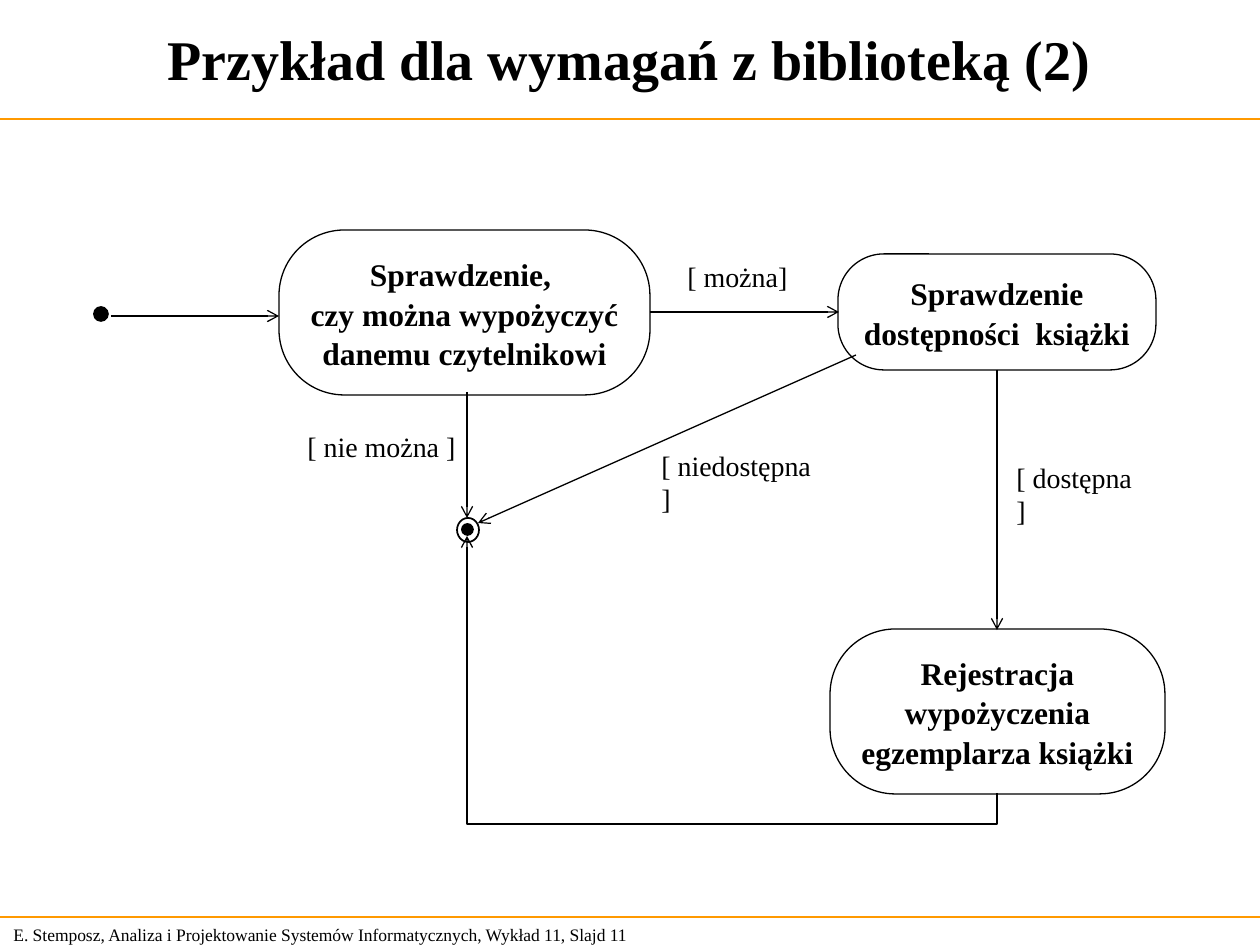
from typing import NamedTuple

from lxml.etree import SubElement
from pptx import Presentation
from pptx.dml.color import RGBColor
from pptx.enum.shapes import MSO_CONNECTOR, MSO_SHAPE
from pptx.enum.text import MSO_ANCHOR, PP_ALIGN
from pptx.oxml.ns import qn
from pptx.util import Pt

EMU_PER_PX = 914400 / 126
SLIDE_WIDTH, SLIDE_HEIGHT = 1260, 945
FONT = "Times New Roman"
BLACK = RGBColor(0x00, 0x00, 0x00)
ORANGE = RGBColor(0xFF, 0x99, 0x00)


class Area(NamedTuple):
    left: int
    top: int
    width: int
    height: int


class State(NamedTuple):
    area: Area
    lines: list[str]


class Guard(NamedTuple):
    area: Area
    text: str


class Flow(NamedTuple):
    start: tuple[int, int]
    end: tuple[int, int]


STATES = [
    State(Area(279, 230, 371, 165),
          ["Sprawdzenie, ", "czy można wypożyczyć", "danemu czytelnikowi"]),
    State(Area(838, 254, 318, 116), ["Sprawdzenie", "dostępności  książki"]),
    State(Area(830, 629, 335, 165),
          ["Rejestracja", "wypożyczenia", "egzemplarza książki"]),
]
GUARDS = [
    Guard(Area(675, 253, 125, 47), "[ można]"),
    Guard(Area(295, 423, 173, 47), "[ nie można ]"),
    Guard(Area(1004, 454, 156, 47), "[ dostępna ]"),
    Guard(Area(649, 442, 190, 47), "[ niedostępna ]"),
]
FLOWS = [
    Flow((111, 316), (279, 316)),
    Flow((650, 312), (839, 312)),
    Flow((467, 392), (467, 518)),
    Flow((997, 370), (997, 630)),
    Flow((856, 355), (478, 523)),
]
RETURN_FLOW = Flow((997, 793), (467, 536))
RETURN_DROP = 31  # how far the return flow dips below its start


def px(length: float) -> int:
    return round(length * EMU_PER_PX)


def write_text(box, lines: list[str], *, size: int, bold: bool = False,
               align=PP_ALIGN.LEFT, anchor=MSO_ANCHOR.TOP,
               wrap: bool = False, spacing: float = 1.0) -> None:
    frame = box.text_frame
    frame.word_wrap = wrap
    frame.vertical_anchor = anchor
    for index, line in enumerate(lines):
        para = frame.paragraphs[0] if index == 0 else frame.add_paragraph()
        para.alignment = align
        para.line_spacing = spacing
        span = para.add_run()
        span.text = line
        span.font.name = FONT
        span.font.size = Pt(size)
        span.font.bold = bold
        span.font.color.rgb = BLACK


def add_text(shapes, area: Area, text: str, **text_format) -> None:
    box = shapes.add_textbox(*map(px, area))
    write_text(box, [text], **text_format)


def add_outline(shapes, kind, area: Area, *, filled: bool = False,
                line_width: float = 1):
    shape = shapes.add_shape(kind, *map(px, area))
    shape.shadow.inherit = False
    if filled:
        shape.fill.solid()
        shape.fill.fore_color.rgb = BLACK
    else:
        shape.fill.background()
    shape.line.color.rgb = BLACK
    shape.line.width = Pt(line_width)
    return shape


def add_state(shapes, state: State) -> None:
    shape = add_outline(shapes, MSO_SHAPE.ROUNDED_RECTANGLE, state.area,
                        line_width=0.75)
    shape.adjustments[0] = 0.396
    write_text(shape, state.lines, size=18, bold=True, spacing=1.05,
               align=PP_ALIGN.CENTER, anchor=MSO_ANCHOR.MIDDLE)


def add_line(shapes, flow: Flow, *, color: RGBColor = BLACK,
             arrow: bool = True, kind=MSO_CONNECTOR.STRAIGHT):
    line = shapes.add_connector(kind, *map(px, flow.start + flow.end))
    line.line.color.rgb = color
    line.line.width = Pt(0.75)
    properties = line._element.spPr
    if arrow:
        SubElement(properties.find(qn("a:ln")), qn("a:tailEnd"), type="arrow")
    SubElement(properties, qn("a:effectLst"))
    return line


def add_return_flow(shapes, flow: Flow, drop: int) -> None:
    """Draw an elbow that leaves downwards and comes back up at its end."""
    (start_x, start_y), (end_x, end_y) = flow
    middle_x, middle_y = (start_x + end_x) / 2, (start_y + end_y) / 2
    half_rise, half_run = (start_y - end_y) / 2, (start_x - end_x) / 2
    # Ends before the quarter turn that makes the elbow vertical.
    unturned = Flow((middle_x - half_rise, middle_y + half_run),
                    (middle_x + half_rise, middle_y - half_run))
    elbow = add_line(shapes, unturned, kind=MSO_CONNECTOR.ELBOW)
    properties = elbow._element.spPr
    properties.find(qn("a:xfrm")).set("rot", str(270 * 60000))
    guides = properties.find(qn("a:prstGeom")).find(qn("a:avLst"))
    bend = round(-drop / (start_y - end_y) * 100000)
    SubElement(guides, qn("a:gd"), name="adj1", fmla=f"val {bend}")


def main() -> None:
    deck = Presentation()
    deck.slide_width, deck.slide_height = px(SLIDE_WIDTH), px(SLIDE_HEIGHT)
    shapes = deck.slides.add_slide(deck.slide_layouts[6]).shapes

    for rule_y in (119, 917):
        add_line(shapes, Flow((0, rule_y), (SLIDE_WIDTH, rule_y)),
                 color=ORANGE, arrow=False)
    add_text(shapes, Area(0, 0, 1259, 116),
             "Przykład dla wymagań z biblioteką (2)", size=32, bold=True,
             align=PP_ALIGN.CENTER, anchor=MSO_ANCHOR.MIDDLE, wrap=True)
    add_text(shapes, Area(1, 917, 660, 34),
             "E. Stemposz, Analiza i Projektowanie Systemów Informatycznych, "
             "Wykład 11, Slajd 11", size=10, anchor=MSO_ANCHOR.MIDDLE)

    add_outline(shapes, MSO_SHAPE.OVAL, Area(94, 307, 14, 14), filled=True)
    final_node = shapes.add_group_shape().shapes
    add_outline(final_node, MSO_SHAPE.OVAL, Area(457, 518, 22, 24))
    add_outline(final_node, MSO_SHAPE.OVAL, Area(462, 524, 11, 11), filled=True)

    for state in STATES:
        add_state(shapes, state)
    for flow in FLOWS:
        add_line(shapes, flow)
    for guard in GUARDS:
        add_text(shapes, guard.area, guard.text, size=16)
    add_return_flow(shapes, RETURN_FLOW, RETURN_DROP)

    deck.save("out.pptx")


if __name__ == "__main__":
    main()
